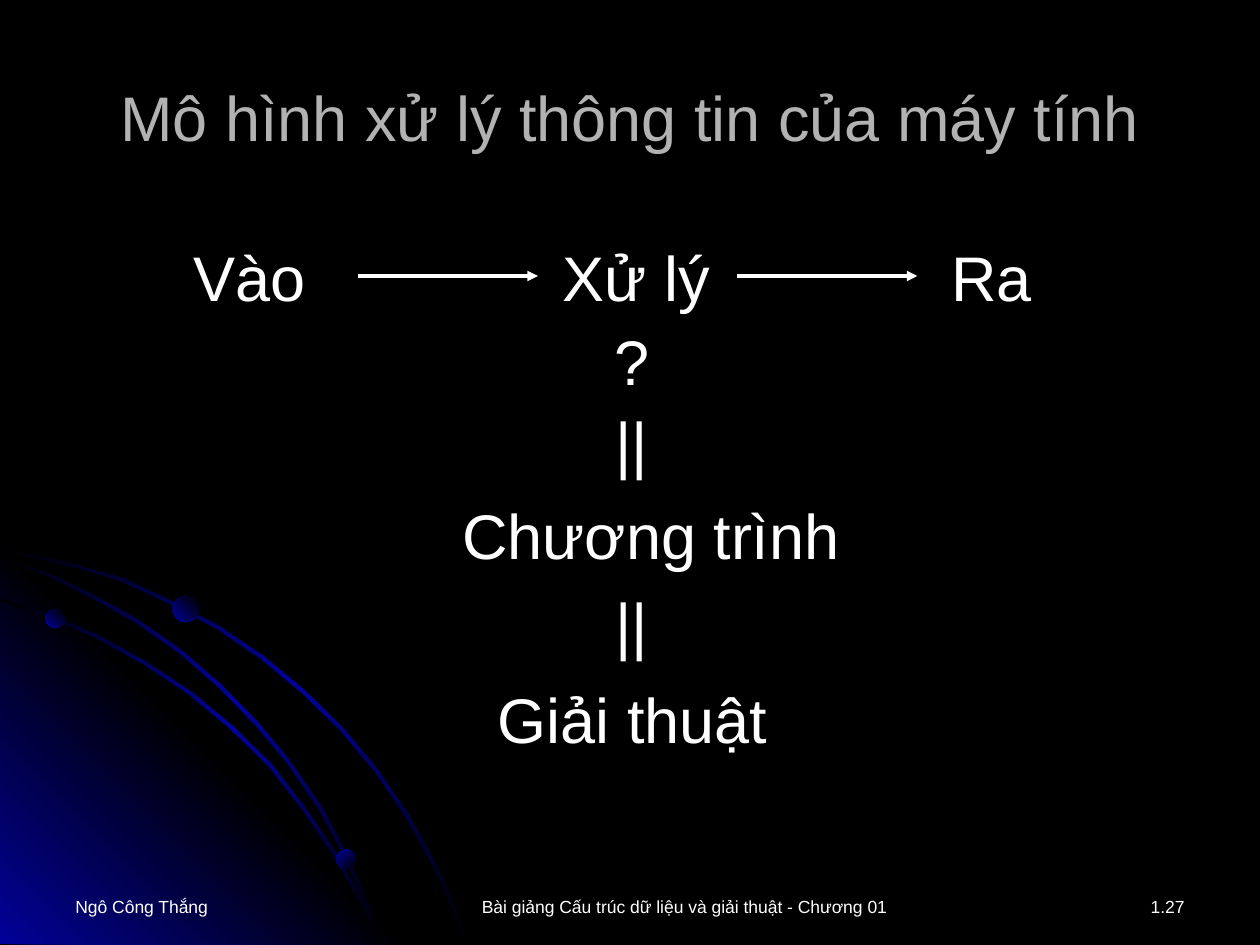
from typing import NamedTuple

from lxml.etree import SubElement
from pptx import Presentation
from pptx.dml.color import RGBColor
from pptx.enum.shapes import MSO_CONNECTOR as Connector, MSO_SHAPE as Preset
from pptx.enum.text import MSO_ANCHOR as Anchor, PP_ALIGN as Align
from pptx.oxml.ns import qn
from pptx.util import Pt

COLORS = {
    "background": "000000",
    "glow": "010199",
    "title": "B2B2B2",
    "text": "FFFFFF",
}
FONT = "Arial"
SLIDE_WIDTH, SLIDE_HEIGHT = 720, 540
BAND_SHIFT = 1.4
ARROW_Y = 157.7
ROW_HEIGHT = 51
FOOTER_TOP, FOOTER_HEIGHT = 508.3, 21.6

Point = tuple[float, float]


class Label(NamedTuple):
    text: str
    left: float
    top: float
    width: float
    align: Align = Align.CENTER
    size: float = 36
    height: float = ROW_HEIGHT


class Dot(NamedTuple):
    left: float
    top: float
    diameter: float
    angle: int


class Arrow(NamedTuple):
    start: float
    end: float


BAND_EDGES: list[list[Point]] = [
    [(0, 313), (20, 317.5), (41, 322), (70.5, 330.5), (98, 343.5), (125.5, 358),
     (150.5, 375), (174, 394.5), (196, 416), (216, 440), (234, 466.5),
     (244, 484.5), (253.5, 502.5), (260.5, 520.5), (268, 539.5)],
    [(0, 342), (29.5, 351.5), (57, 363.5), (84, 378.5), (109.5, 395.5),
     (132.5, 414.5), (155, 436.5), (174, 461), (191.5, 486.5), (206, 512.5),
     (213, 525.5), (218, 539.5)],
    [(0, 318), (28, 327.5), (54.5, 340.5), (80, 355), (103.5, 371.5), (126, 391),
     (147, 412.5), (165, 434), (183, 460), (193.5, 479), (203, 499),
     (211.5, 518.5), (218, 539.5)],
]
CORNER: list[Point] = [(0, 307.5), (232, 539.5), (0, 539.5)]

DOTS = [
    Dot(26, 348, 11, 315),
    Dot(192, 485.5, 11.5, 45),
    Dot(98.5, 340.5, 15, 315),
]

FOOTERS = [
    Label("Ngô Công Thắng", 36, FOOTER_TOP, 168, Align.LEFT, 10, FOOTER_HEIGHT),
    Label("Bài giảng Cấu trúc dữ liệu và giải thuật - Chương 01",
          213, FOOTER_TOP, 356, Align.CENTER, 10, FOOTER_HEIGHT),
    Label("1.27", 579, FOOTER_TOP, 105, Align.RIGHT, 10, FOOTER_HEIGHT),
]

STEPS = [
    Label("Vào", 103.5, 132.5, 86.4, Align.LEFT),
    Label("Xử lý", 314.6, 132.5, 106.6, Align.LEFT),
    Label("Ra", 536.4, 132.5, 86.4, Align.LEFT),
    Label("?", 333.4, 180.7, 55.4),
    Label("||", 333.4, 227.5, 55.4),
    Label("Chương trình", 257, 280, 239, Align.LEFT),
    Label("||", 333.4, 331.2, 55.4),
    Label("Giải thuật", 263.5, 385.2, 195.8),
]

ARROWS = [Arrow(204.5, 307.4), Arrow(421.2, 524.2)]


def color(name: str) -> RGBColor:
    return RGBColor.from_string(COLORS[name])


def paint_gradient(shape, names: list[str], angle: int) -> None:
    shape.shadow.inherit = False
    shape.line.fill.background()
    shape.fill.gradient()
    gradient = shape.element.spPr.find(qn("a:gradFill"))
    stops = gradient.find(qn("a:gsLst"))
    for stop in list(stops):
        stops.remove(stop)
    for index, name in enumerate(names):
        position = 100000 * index // (len(names) - 1)
        stop = SubElement(stops, qn("a:gs"), pos=str(position))
        SubElement(stop, qn("a:srgbClr"), val=COLORS[name])
    direction = gradient.find(qn("a:lin"))
    direction.set("ang", str(angle * 60000))
    direction.set("scaled", "0")


def add_outline(slide, points: list[Point], names: list[str], angle: int) -> None:
    corners = [(Pt(x), Pt(y)) for x, y in points]
    builder = slide.shapes.build_freeform(*corners[0])
    builder.add_line_segments(corners[1:], close=True)
    paint_gradient(builder.convert_to_shape(), names, angle)


def add_band(slide, edge: list[Point]) -> None:
    inner = [(max(0, x - BAND_SHIFT), min(SLIDE_HEIGHT, y + BAND_SHIFT))
             for x, y in reversed(edge)]
    add_outline(slide, edge + inner, ["background", "glow", "background"], 45)


def add_dot(slide, dot: Dot) -> None:
    shape = slide.shapes.add_shape(
        Preset.OVAL, Pt(dot.left), Pt(dot.top), Pt(dot.diameter), Pt(dot.diameter))
    paint_gradient(shape, ["glow", "background"], dot.angle)


def format_paragraph(paragraph, size: float, color_name: str, align: Align) -> None:
    paragraph.alignment = align
    paragraph.font.size = Pt(size)
    paragraph.font.name = FONT
    paragraph.font.color.rgb = color(color_name)


def add_label(slide, label: Label) -> None:
    box = slide.shapes.add_textbox(
        Pt(label.left), Pt(label.top), Pt(label.width), Pt(label.height))
    frame = box.text_frame
    frame.word_wrap = True
    frame.text = label.text
    format_paragraph(frame.paragraphs[0], label.size, "text", label.align)


def add_arrow(slide, arrow: Arrow) -> None:
    connector = slide.shapes.add_connector(
        Connector.STRAIGHT, Pt(arrow.start), Pt(ARROW_Y), Pt(arrow.end), Pt(ARROW_Y))
    connector.line.width = Pt(2)
    connector.line.color.rgb = color("text")
    properties = connector.element.spPr
    SubElement(properties.find(qn("a:ln")), qn("a:tailEnd"), type="triangle")
    SubElement(properties, qn("a:effectLst"))


def set_title(slide, text: str) -> None:
    title = slide.shapes.title
    title.left, title.top, title.width, title.height = Pt(36), Pt(21.6), Pt(648), Pt(90)
    title.text_frame.text = text
    title.text_frame.vertical_anchor = Anchor.MIDDLE
    format_paragraph(title.text_frame.paragraphs[0], 36, "title", Align.CENTER)


def main() -> None:
    presentation = Presentation()
    presentation.slide_width = Pt(SLIDE_WIDTH)
    presentation.slide_height = Pt(SLIDE_HEIGHT)
    slide = presentation.slides.add_slide(presentation.slide_layouts[5])
    slide.background.fill.solid()
    slide.background.fill.fore_color.rgb = color("background")

    set_title(slide, "Mô hình xử lý thông tin của máy tính")
    add_outline(slide, CORNER, ["glow", "background", "glow"], 315)
    for edge in BAND_EDGES:
        add_band(slide, edge)
    for dot in DOTS:
        add_dot(slide, dot)
    for label in FOOTERS + STEPS:
        add_label(slide, label)
    for arrow in ARROWS:
        add_arrow(slide, arrow)

    presentation.save("out.pptx")


if __name__ == "__main__":
    main()
